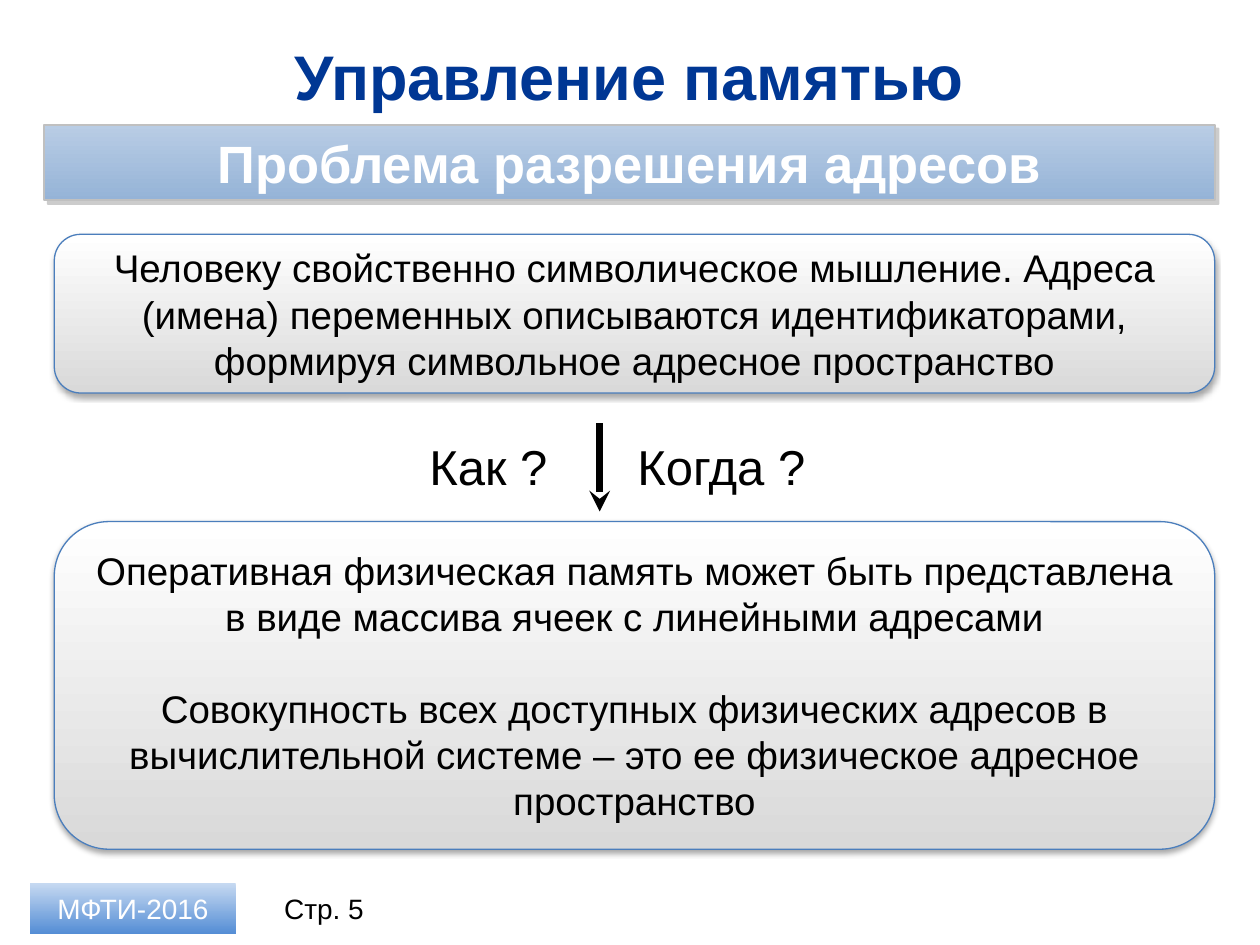
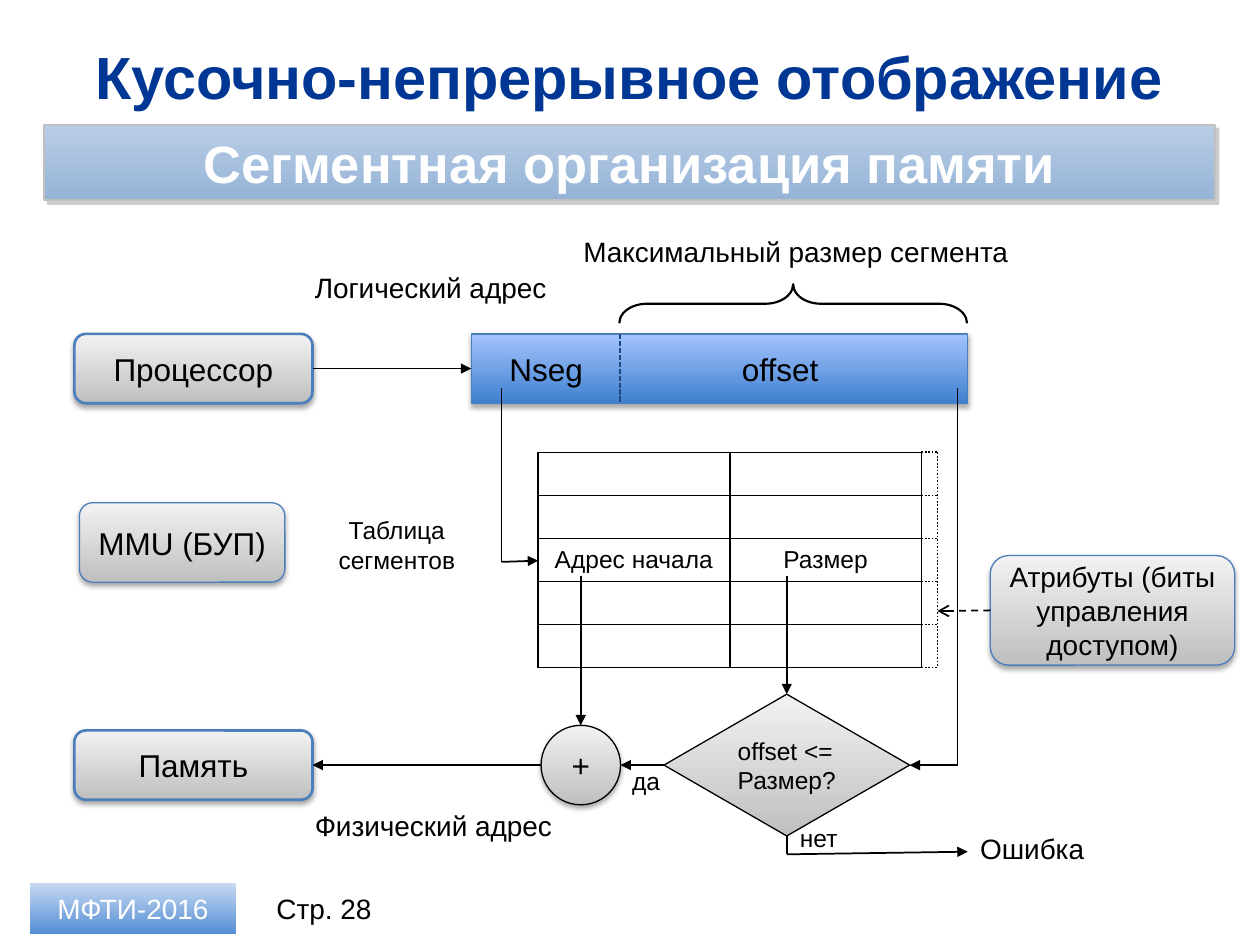
"""Build two lecture slides on memory management."""
from dataclasses import dataclass
from typing import NamedTuple, Optional

import lxml.etree
import pptx
import pptx.dml.color
import pptx.enum.dml
import pptx.enum.shapes
import pptx.enum.text
import pptx.oxml.ns
import pptx.util

Pt = pptx.util.Pt
qn = pptx.oxml.ns.qn
SHAPE = pptx.enum.shapes.MSO_SHAPE
ALIGN = pptx.enum.text.PP_ALIGN
ANCHOR = pptx.enum.text.MSO_ANCHOR
DASH = pptx.enum.dml.MSO_LINE


@dataclass(frozen=True)
class Theme:
    font: str = "Arial"
    ink: str = "000000"
    white: str = "FFFFFF"
    title: str = "003794"
    outline: str = "4B7EBC"
    band_outline: str = "C0C0C0"
    divider: str = "1F497D"
    statement_size: float = 22
    question_size: float = 28
    band_size: float = 30
    node_size: float = 18
    label_size: float = 16
    small_size: float = 14


THEME = Theme()


class Shadow(NamedTuple):
    color: str
    alpha: int
    blur: float
    distance: float
    angle: int


class Look(NamedTuple):
    top: str
    bottom: str
    outline: Optional[str] = THEME.outline
    weight: float = 0.75
    shadow: Optional[Shadow] = None
    preset: SHAPE = SHAPE.ROUNDED_RECTANGLE


class Frame(NamedTuple):
    left: float
    top: float
    width: float
    height: float

    def lengths(self) -> list:
        """Return the four sides as lengths."""
        return [Pt(side) for side in self]


class Label(NamedTuple):
    frame: Frame
    text: str
    size: float = THEME.label_size
    align: ALIGN = ALIGN.LEFT
    color: str = THEME.ink
    bold: bool = False
    anchor: ANCHOR = ANCHOR.TOP


class Node(NamedTuple):
    frame: Frame
    text: str
    look: Look
    size: float = THEME.node_size
    color: str = THEME.ink
    bold: bool = False
    align: ALIGN = ALIGN.CENTER
    wrap: bool = True
    gap: float = 0


class Link(NamedTuple):
    x1: float
    y1: float
    x2: float
    y2: float
    head: Optional[str] = None
    weight: float = 1
    dash: Optional[DASH] = None
    color: str = THEME.ink
    begin: Optional[tuple] = None
    end: Optional[tuple] = None


SOFT = Shadow("000000", 35, 3.1, 1.8, 90)
STATEMENT = Look("FFFFFF", "D9D9D9", shadow=SOFT)
UNIT = Look("F2F2F2", "BFBFBF", shadow=SOFT)
ENDPOINT = UNIT._replace(weight=1.5)
ADDER = UNIT._replace(outline=THEME.ink, preset=SHAPE.OVAL)
CHECK = ADDER._replace(shadow=None, preset=SHAPE.DIAMOND)
ADDRESS = Look("A4C4FF", "3F80CE", shadow=SOFT, preset=SHAPE.RECTANGLE)
BAND = Look("B9CDE5", "95B3D7", THEME.band_outline, 1,
            Shadow("808080", 40, 0, 3, 45), SHAPE.RECTANGLE)
BADGE = Look("C6D9F1", "558ED5", None, preset=SHAPE.RECTANGLE)


def rgb(color: str) -> pptx.dml.color.RGBColor:
    """Turn a hex string into a colour."""
    return pptx.dml.color.RGBColor.from_string(color)


def write(text_frame, text: str, size: float, color: str, bold: bool,
          align: ALIGN, gap: float = 0) -> None:
    """Fill a text frame, one paragraph per form-feed-separated part."""
    for index, part in enumerate(text.split("\f")):
        paragraph = text_frame.paragraphs[0] if index == 0 else text_frame.add_paragraph()
        paragraph.text = part
        paragraph.alignment = align
        if index:
            paragraph.space_before = Pt(gap)
        font = paragraph.font
        font.name, font.size, font.bold = THEME.font, Pt(size), bold
        font.color.rgb = rgb(color)


def cast_shadow(shape, shadow: Shadow) -> None:
    """Give a shape an outer shadow."""
    effects = shape._element.spPr.find(qn("a:effectLst"))
    outer = lxml.etree.SubElement(
        effects, qn("a:outerShdw"), blurRad=str(Pt(shadow.blur)),
        dist=str(Pt(shadow.distance)), dir=str(shadow.angle * 60000),
        algn="tl", rotWithShape="0")
    tint = lxml.etree.SubElement(outer, qn("a:srgbClr"), val=shadow.color)
    lxml.etree.SubElement(tint, qn("a:alpha"), val=str(shadow.alpha * 1000))


def add_node(slide, node: Node):
    """Draw a filled shape with its text."""
    look = node.look
    shape = slide.shapes.add_shape(look.preset, *node.frame.lengths())
    shape.fill.gradient()
    shape.fill.gradient_angle = 270
    for stop, color in zip(shape.fill.gradient_stops, (look.top, look.bottom)):
        stop.color.rgb = rgb(color)
    if look.outline:
        shape.line.color.rgb = rgb(look.outline)
        shape.line.width = Pt(look.weight)
    else:
        shape.line.fill.background()
    shape.shadow.inherit = False
    if look.shadow:
        cast_shadow(shape, look.shadow)
    shape.text_frame.word_wrap = node.wrap
    shape.text_frame.vertical_anchor = ANCHOR.MIDDLE
    if node.text:
        write(shape.text_frame, node.text, node.size, node.color, node.bold,
              node.align, node.gap)
    return shape


def add_label(slide, label: Label) -> None:
    """Draw plain text."""
    text_frame = slide.shapes.add_textbox(*label.frame.lengths()).text_frame
    text_frame.word_wrap = True
    text_frame.vertical_anchor = label.anchor
    write(text_frame, label.text, label.size, label.color, label.bold, label.align)


def add_link(slide, link: Link) -> None:
    """Draw a straight line or arrow, joined to shapes where given."""
    connector = slide.shapes.add_connector(
        pptx.enum.shapes.MSO_CONNECTOR.STRAIGHT,
        Pt(link.x1), Pt(link.y1), Pt(link.x2), Pt(link.y2))
    if link.begin:
        connector.begin_connect(*link.begin)
    if link.end:
        connector.end_connect(*link.end)
    connector.line.color.rgb = rgb(link.color)
    connector.line.width = Pt(link.weight)
    if link.dash:
        connector.line.dash_style = link.dash
    properties = connector._element.spPr
    if link.head:
        lxml.etree.SubElement(properties.find(qn("a:ln")), qn("a:tailEnd"), type=link.head)
    lxml.etree.SubElement(properties, qn("a:effectLst"))


def add_column(slide, frame: Frame, entries: list[str]) -> None:
    """Draw one bordered column of the segment table."""
    table = slide.shapes.add_table(len(entries), 1, *frame.lengths()).table
    table.first_row = table.horz_banding = False
    for row, entry in enumerate(entries):
        cell = table.cell(row, 0)
        cell.margin_top = cell.margin_bottom = Pt(1)
        cell.vertical_anchor = ANCHOR.MIDDLE
        write(cell.text_frame, entry, THEME.small_size, THEME.ink, False, ALIGN.CENTER)
        properties = cell._tc.get_or_add_tcPr()
        for side in ("a:lnL", "a:lnR", "a:lnT", "a:lnB"):
            border = lxml.etree.SubElement(properties, qn(side), w=str(Pt(1)))
            solid = lxml.etree.SubElement(border, qn("a:solidFill"))
            lxml.etree.SubElement(solid, qn("a:srgbClr"), val=THEME.ink)
        cell.fill.background()


def start_slide(deck, title: str, title_size: float, topic: str, page: int):
    """Add a blank slide with title, topic band and footer."""
    slide = deck.slides.add_slide(deck.slide_layouts[6])
    add_label(slide, Label(Frame(25, 18.7, 669, 49), title, title_size, ALIGN.CENTER,
                           THEME.title, True, ANCHOR.MIDDLE))
    add_node(slide, Node(Frame(25.2, 71.3, 669, 43.2), topic, BAND,
                         THEME.band_size, THEME.white, True))
    add_node(slide, Node(Frame(17.3, 504.7, 117.4, 28.8), "МФТИ-2016", BADGE,
                         THEME.label_size, THEME.white))
    add_label(slide, Label(Frame(146.2, 504.5, 77.8, 28.8), f"Стр. {page}",
                           align=ALIGN.CENTER, anchor=ANCHOR.MIDDLE))
    return slide


def build_address_problem(deck) -> None:
    """Build the slide on resolving addresses."""
    slide = start_slide(deck, "Управление памятью", 36, "Проблема разрешения адресов", 5)
    symbolic = ("Человеку свойственно символическое мышление. Адреса (имена) переменных "
                "описываются идентификаторами, формируя символьное адресное пространство")
    physical = ("Оперативная физическая память может быть представлена в виде массива "
                "ячеек с линейными адресами\fСовокупность всех доступных физических "
                "адресов в вычислительной системе – это ее физическое адресное пространство")
    for top, height, text in ((133.9, 90.7, symbolic), (298.1, 187.2, physical)):
        add_node(slide, Node(Frame(31, top, 663.1, height), text, STATEMENT,
                             THEME.statement_size, gap=26))
    add_link(slide, Link(342.7, 241.9, 342.7, 292.3, "stealth", 4))
    for left, width, question in ((238.3, 110.9, "Как ?"), (357.1, 127.4, "Когда ?")):
        add_label(slide, Label(Frame(left, 246.2, width, 41), question, THEME.question_size))


def build_segmentation(deck) -> None:
    """Build the slide on segmented memory."""
    slide = start_slide(deck, "Кусочно-непрерывное отображение", 34,
                        "Сегментная организация памяти", 28)
    cpu, memory, address, _, attributes, check, adder = [add_node(slide, node) for node in (
        Node(Frame(42.5, 190.8, 136.1, 39.6), "Процессор", ENDPOINT),
        Node(Frame(42.5, 417.4, 136.1, 39.6), "Память", ENDPOINT),
        Node(Frame(269.3, 190.8, 283.7, 39.6), "", ADDRESS),
        Node(Frame(45.4, 287.3, 117.4, 45.4), "MMU (БУП)", UNIT),
        Node(Frame(565.9, 317.5, 139.7, 62.6), "Атрибуты (биты управления доступом)",
             UNIT, THEME.label_size),
        Node(Frame(379.4, 396.7, 140.4, 81), "offset <=\nРазмер?", CHECK,
             THEME.small_size, align=ALIGN.LEFT, wrap=False),
        Node(Frame(309.2, 414.5, 45.4, 45.4), "+", ADDER))]
    brace = slide.shapes.add_shape(SHAPE.RIGHT_BRACE, *Frame(442.1, 74.2, 22.3, 198.7).lengths())
    brace.rotation = 270
    brace.adjustments[0] = 0.71
    brace.fill.background()
    brace.line.color.rgb = rgb(THEME.ink)
    brace.line.width = Pt(1.25)
    brace.shadow.inherit = False

    top, row, column, first, edge = 258.5, 24.6, 109.5, 307.5, 535.7
    for index, heading in enumerate(("Адрес начала", "Размер")):
        add_column(slide, Frame(first + index * column, top, column, 5 * row),
                   ["", "", heading, "", ""])
    right = first + 2 * column
    for index in range(6):
        y = top + index * row
        add_link(slide, Link(right, y, edge, y, dash=DASH.ROUND_DOT))

    for label in (
            Label(Frame(172.8, 151.2, 153.4, 26.6), "Логический адрес"),
            Label(Frame(172.8, 458.6, 153.4, 26.6), "Физический адрес"),
            Label(Frame(326.2, 130.3, 260.6, 26.6), "Максимальный размер сегмента"),
            Label(Frame(553, 471.6, 79.2, 26.6), "Ошибка"),
            Label(Frame(280.8, 196.6, 62.6, 28.8), "Nseg", THEME.node_size, ALIGN.CENTER),
            Label(Frame(416.9, 196.6, 62.6, 28.8), "offset", THEME.node_size),
            Label(Frame(172.8, 290.9, 108, 41), "Таблица\nсегментов",
                  THEME.small_size, ALIGN.CENTER),
            Label(Frame(354.2, 434.2, 33.8, 24.5), "да", THEME.small_size),
            Label(Frame(450, 466.6, 39.6, 24.5), "нет", THEME.small_size)):
        add_label(slide, label)

    flow, arrow = 437.2, "triangle"
    for link in (
            Link(edge, top, edge, top + 5 * row, dash=DASH.ROUND_DOT),
            Link(354.2, 190.8, 354.2, 230.4, dash=DASH.SQUARE_DOT, color=THEME.divider),
            Link(178.6, 210.6, 269.3, 210.6, arrow, begin=(cpu, 3), end=(address, 1)),
            Link(309.2, flow, 178.6, flow, arrow, end=(memory, 3)),
            Link(286.6, 221.8, 286.6, 321.1),
            Link(286.6, 321.1, first, 320.4, arrow),
            Link(331.9, 329, 331.9, 414.5, arrow, end=(adder, 0)),
            Link(449.6, 329, 449.6, 396.7, arrow, end=(check, 0)),
            Link(379.4, flow, 354.6, flow, arrow, begin=(check, 1)),
            Link(449.6, 477.7, 449.6, 488.2, begin=(check, 2)),
            Link(449.6, 488.2, 553, 486.7, arrow),
            Link(547.2, 221.8, 547.2, flow),
            Link(547.2, flow, 519.8, flow, arrow, end=(check, 3)),
            Link(565.9, 348.8, edge, 349.2, "arrow", dash=DASH.DASH, begin=(attributes, 1))):
        add_link(slide, link)


def main() -> None:
    """Build and save the deck."""
    deck = pptx.Presentation()
    deck.slide_width, deck.slide_height = Pt(720), Pt(540)
    build_address_problem(deck)
    build_segmentation(deck)
    deck.save("out.pptx")


if __name__ == "__main__":
    main()
